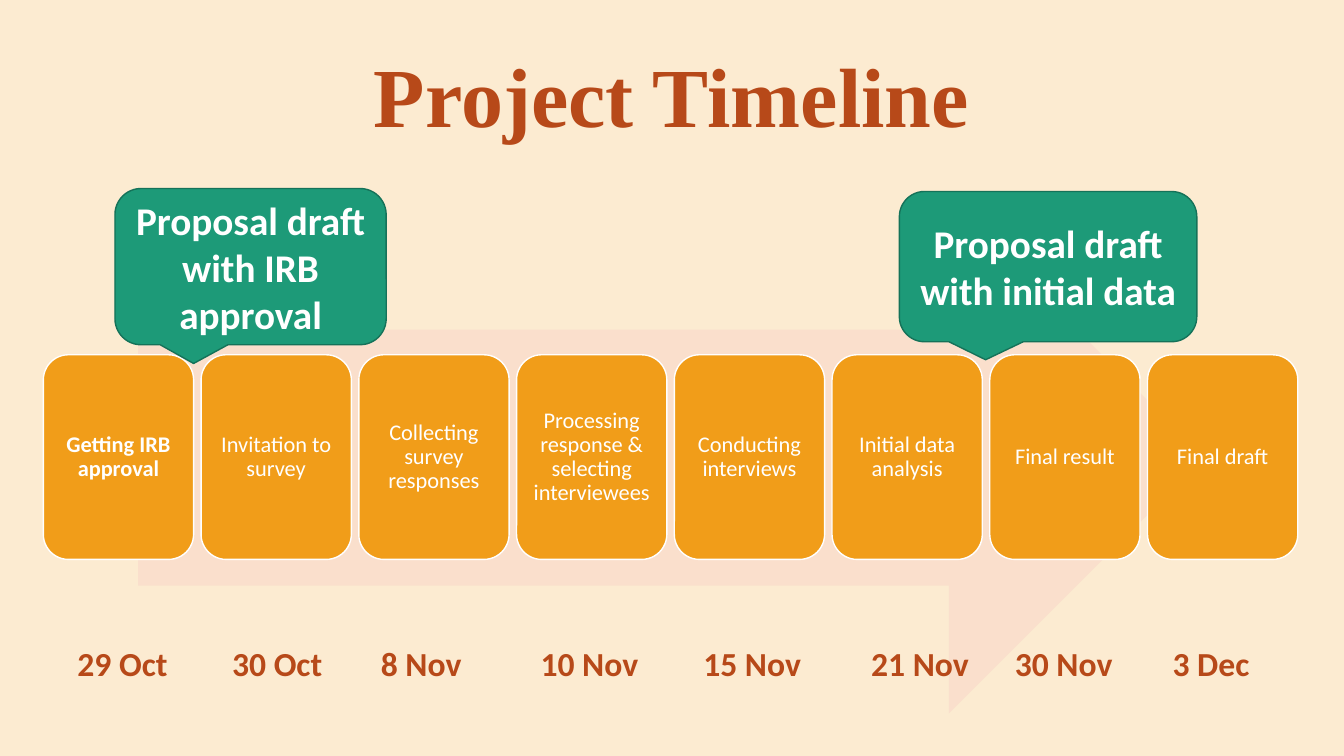
from pptx import Presentation
from pptx import util as u
from pptx.dml.color import RGBColor
from pptx.enum import shapes, text

WIDTH, HEIGHT = 13.33, 7.5
TITLE = "Project Timeline"
STEPS = [
    ("Getting IRB approval", "29 Oct", 0.24, 1.21),
    ("Invitation to survey", "30 Oct", 0.21, 1.6),
    ("Collecting survey responses", "8 Nov", 0.12, 1.59),
    ("Processing response & selecting interviewees", "10 Nov", 0.14, 1.6),
    ("Conducting interviews", "15 Nov", 0.19, 1.6),
    ("Initial data analysis", "21 Nov", 0.29, 1.6),
    ("Final result", "30 Nov", 0.15, 1.31),
    ("Final draft", "3 Dec", 0.15, 1.6),
]
CALLOUTS = [
    ("Proposal draft with IRB approval", (1.14, 1.87, 2.69, 1.55), (-0.21, 0.62)),
    ("Proposal draft with initial data", (8.92, 1.9, 2.95, 1.49), (-0.21, 0.62)),
]
ARROW = (1.37, 2, 10.58, 5.08)
GRID_LEFT, CARD_TOP, DATE_TOP = 0.43, 3.52, 6.33
CARD_WIDTH, CARD_HEIGHT, DATE_HEIGHT = 1.49, 2.03, 0.5
COLUMN = CARD_WIDTH * 1.05

TITLE_FONT = {"name": "Times New Roman", "size": u.Pt(60), "bold": True}
CARD_FONT = {"name": "Calibri", "size": u.Pt(16), "bold": False}
DATE_FONT = {"name": "Calibri", "size": u.Pt(24), "bold": True}
CALLOUT_FONT = {"name": "Calibri", "size": u.Pt(28), "bold": True}
CENTRED = {"alignment": text.PP_ALIGN.CENTER}
TIGHT = {"alignment": text.PP_ALIGN.CENTER, "line_spacing": 0.9}
MIDDLE = {"word_wrap": True, "vertical_anchor": text.MSO_ANCHOR.MIDDLE}
CARD_FRAME = MIDDLE | {f"margin_{side}": u.Inches(0.07)
                       for side in ("left", "top", "right", "bottom")}
DATE_FRAME = {"word_wrap": True, "auto_size": text.MSO_AUTO_SIZE.SHAPE_TO_FIT_TEXT}


def colour(value):
    return RGBColor.from_string(value)


def inches(box):
    return [u.Inches(length) for length in box]


def apply(target, values):
    for name, value in values.items():
        setattr(target, name, value)


def write(shape, words, ink, font, frame, layout):
    apply(shape.text_frame, frame)
    paragraph = shape.text_frame.paragraphs[0]
    apply(paragraph, layout)
    run = paragraph.add_run()
    run.text = words
    apply(run.font, font)
    run.font.color.rgb = colour(ink)


def add_block(slide, kind, box, fill, line=None):
    shape = slide.shapes.add_shape(kind, *inches(box))
    shape.shadow.inherit = False
    shape.fill.solid()
    shape.fill.fore_color.rgb = colour(fill)
    if line:
        shape.line.color.rgb = colour(line)
        shape.line.width = u.Pt(1)
    else:
        shape.line.fill.background()
    return shape


def main():
    presentation = Presentation()
    presentation.slide_width, presentation.slide_height = inches((WIDTH, HEIGHT))
    slide = presentation.slides.add_slide(presentation.slide_layouts[5])
    slide.background.fill.solid()
    slide.background.fill.fore_color.rgb = colour("FCEBD1")

    title = slide.shapes.title
    apply(title, dict(zip(("left", "top", "width", "height"),
                          inches((0.91, 0.27, 11.5, 1.45)))))
    write(title, TITLE, "B74919", TITLE_FONT, MIDDLE, TIGHT)

    kinds = shapes.MSO_SHAPE
    add_block(slide, kinds.RIGHT_ARROW, ARROW, "FADFCC")

    for index, (step, date, shift, date_width) in enumerate(STEPS):
        left = GRID_LEFT + index * COLUMN
        card = add_block(slide, kinds.ROUNDED_RECTANGLE,
                         (left, CARD_TOP, CARD_WIDTH, CARD_HEIGHT), "F19D19", "FFFFFF")
        write(card, step, "FFFFFF", CARD_FONT | {"bold": index == 0}, CARD_FRAME, TIGHT)
        label = slide.shapes.add_textbox(
            *inches((left + shift, DATE_TOP, date_width, DATE_HEIGHT)))
        write(label, date, "B74919", DATE_FONT, DATE_FRAME, {})

    for words, box, tip in CALLOUTS:
        callout = add_block(slide, kinds.ROUNDED_RECTANGULAR_CALLOUT, box,
                            "1D9A78", "157259")
        for index, share in enumerate(tip):
            callout.adjustments[index] = share
        write(callout, words, "FFFFFF", CALLOUT_FONT, MIDDLE, CENTRED)

    presentation.save("out.pptx")


if __name__ == "__main__":
    main()
